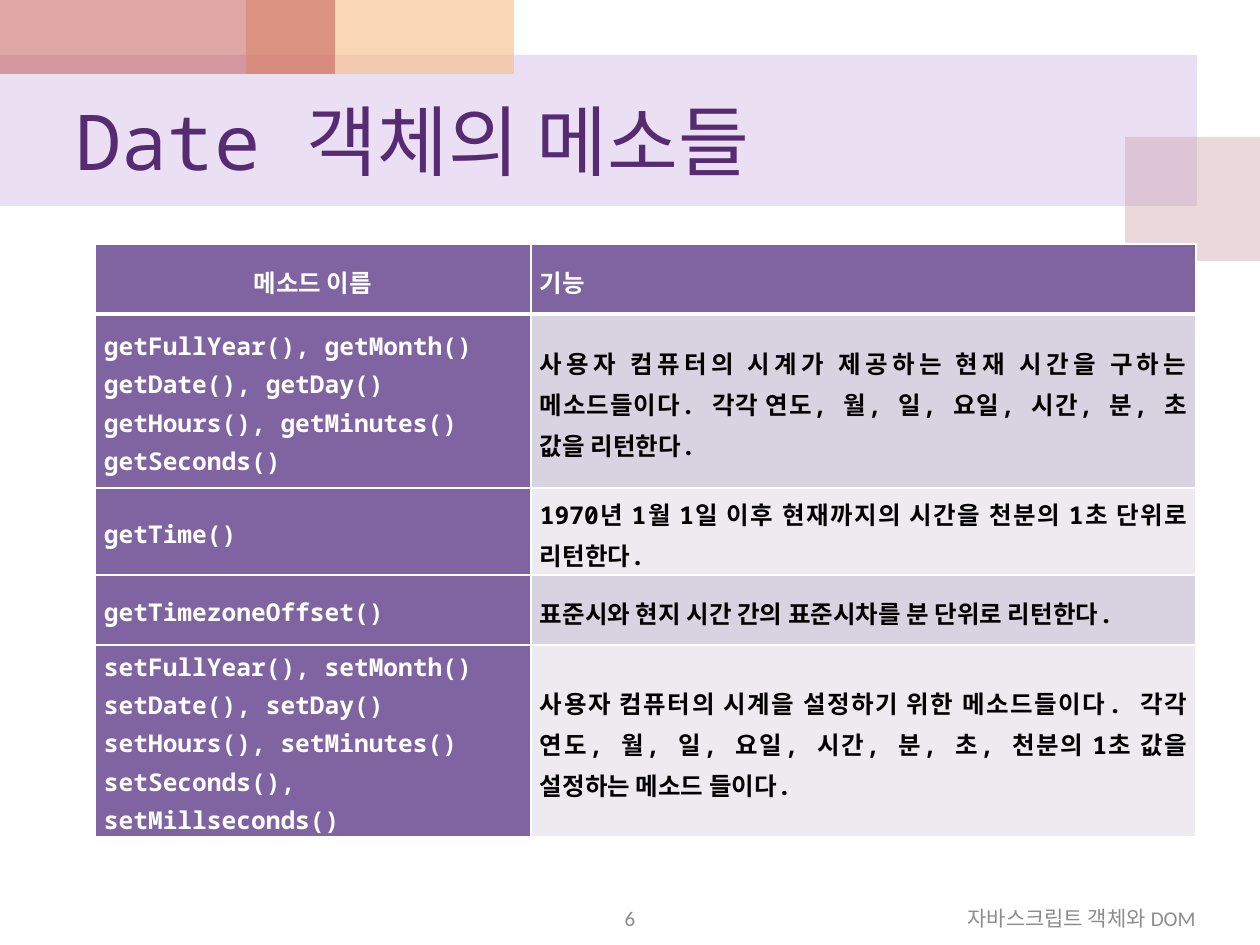
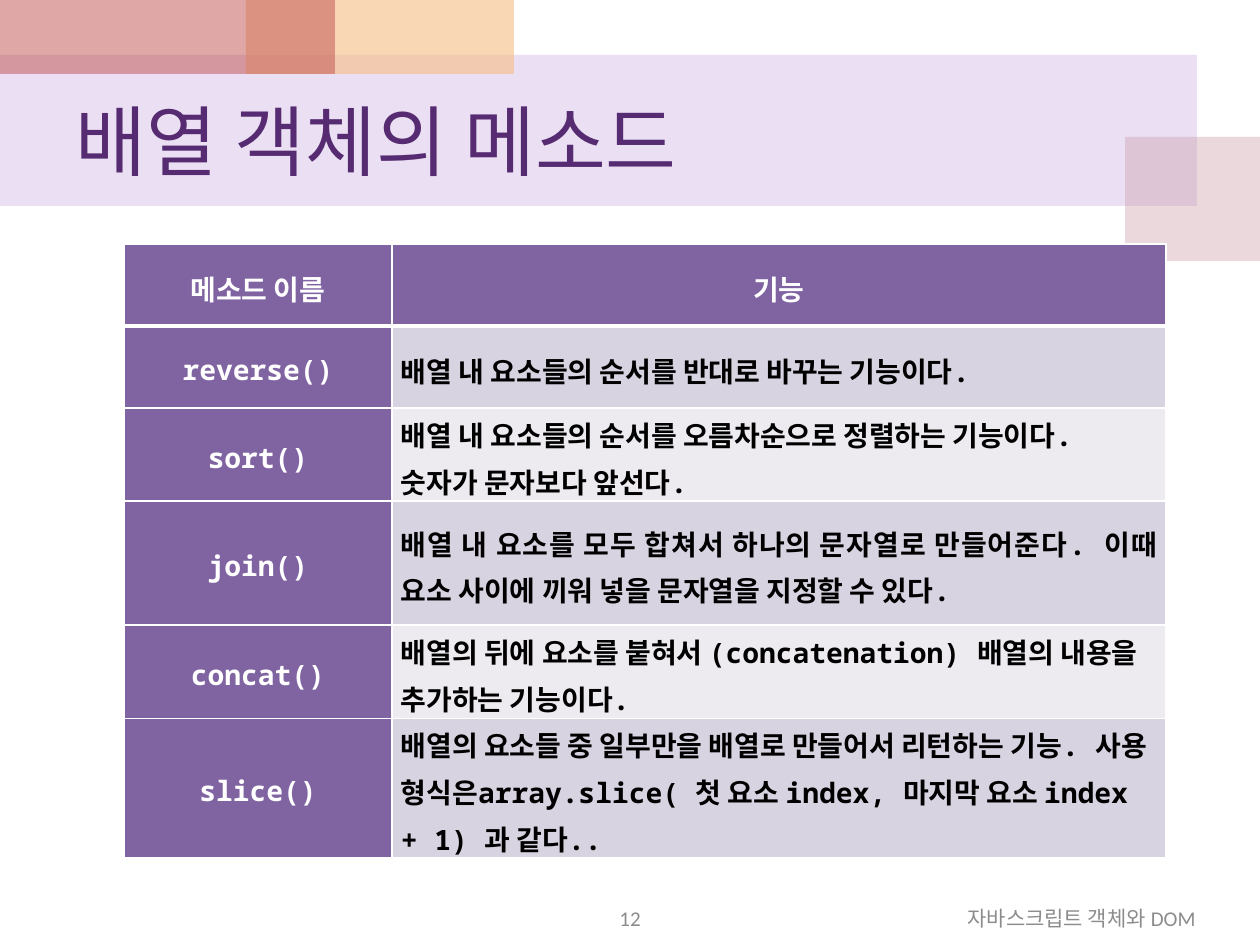
from pptx import Presentation
from pptx.dml.color import RGBColor
from pptx.enum.shapes import MSO_SHAPE
from pptx.enum.text import MSO_ANCHOR, MSO_AUTO_SIZE, PP_ALIGN
from pptx.oxml import parse_xml
from pptx.oxml.ns import nsdecls
from pptx.util import Pt
from lxml.etree import SubElement

# Shared look
COL = {
    "band": "BF98D8", "side": "CC9EAC", "peach": "F5BC83", "red": "C0504D",
    "title": "562B71", "foot": "8C8C8C", "head": "8064A2",
    "odd": "D8D3E0", "even": "EDEAF0", "white": "FFFFFF", "black": "000000",
}
SANS, MONO = "Calibri", "Noto Sans Mono"
LEFT, MID, RIGHT, JUST = PP_ALIGN.LEFT, PP_ALIGN.CENTER, PP_ALIGN.RIGHT, PP_ALIGN.JUSTIFY
SIZE = (1260, 945)
BANDS = [  # colour, opacity %, box
    ("band", 30, (0, 55, 1197, 151)),
    ("side", 40, (1125, 137, 135, 124)),
    ("peach", 60, (246, 0, 268, 74)),
    ("red", 50, (0, 0, 335, 74)),
]
TITLE = (63, 74, 1134, 132)
PAGE = (483, 901, 294, 34)
FOOT = (809, 901, 399, 34)
NOTE = "자바스크립트 객체와 DOM"
TOP = 244

# Content: each row is height, method lines, description, its alignment
SLIDES = [
    {
        "title": [("Date ", MONO), ("객체의 메소들", SANS)],
        "page": "6", "left": 95, "cols": (436, 665), "pt": 14,
        "font": MONO, "names": LEFT,
        "rows": [
            (70, ["메소드 이름"], "기능", JUST),
            (174, ["getFullYear(), getMonth()", "getDate(), getDay()",
                   "getHours(), getMinutes()", "getSeconds()"],
             "사용자 컴퓨터의 시계가 제공하는 현재 시간을 구하는 메소드들이다. "
             "각각 연도, 월, 일, 요일, 시간, 분, 초 값을 리턴한다.", JUST),
            (87, ["getTime()"],
             "1970년 1월 1일 이후 현재까지의 시간을 천분의 1초 단위로 리턴한다.", JUST),
            (70, ["getTimezoneOffset()"],
             "표준시와 현지 시간 간의 표준시차를 분 단위로 리턴한다.", JUST),
            (174, ["setFullYear(), setMonth()", "setDate(), setDay()",
                   "setHours(), setMinutes()", "setSeconds(), setMillseconds()"],
             "사용자 컴퓨터의 시계을 설정하기 위한 메소드들이다. 각각 연도, 월, 일, 요일, "
             "시간, 분, 초, 천분의 1초 값을 설정하는 메소드 들이다.", JUST),
        ],
    },
    {
        "title": [("배열 객체의 메소드", SANS)],
        "page": "12", "left": 124, "cols": (268, 774), "pt": 16,
        "font": SANS, "names": MID,
        "rows": [
            (82, ["메소드 이름"], "기능", MID),
            (82, ["reverse()"], "배열 내 요소들의 순서를 반대로 바꾸는 기능이다.", LEFT),
            (84, ["sort()"],
             "배열 내 요소들의 순서를 오름차순으로 정렬하는 기능이다. 숫자가 문자보다 앞선다.", LEFT),
            (124, ["join()"],
             "배열 내 요소를 모두 합쳐서 하나의 문자열로 만들어준다. "
             "이때 요소 사이에 끼워 넣을 문자열을 지정할 수 있다.", JUST),
            (84, ["concat()"],
             "배열의 뒤에 요소를 붙혀서 (concatenation) 배열의 내용을 추가하는 기능이다.", LEFT),
            (124, ["slice()"],
             "배열의 요소들 중 일부만을 배열로 만들어서 리턴하는 기능. 사용 형식은"
             "array.slice( 첫 요소 index, 마지막 요소 index + 1) 과 같다..", LEFT),
        ],
    },
]


def px(n):
    return round(n * 914400 / 126)


def rgb(key):
    return RGBColor.from_string(COL[key])


def add_run(para, text, font, pt, ink, bold=False):
    run = para.add_run()
    run.text = text
    run.font.name, run.font.size, run.font.bold = font, Pt(pt), bold
    run.font.color.rgb = rgb(ink)


def add_bands(slide):
    """Draw the bands, then hand them to the layout that all slides share."""
    for key, alpha, box in BANDS:
        band = slide.shapes.add_shape(MSO_SHAPE.RECTANGLE, *map(px, box))
        band.shadow.inherit = False
        band.line.fill.background()
        band.fill.solid()
        band.fill.fore_color.rgb = rgb(key)
        tint = band.element.spPr.find(".//{*}srgbClr")
        SubElement(tint, tint.tag.replace("srgbClr", "alpha"), val=str(alpha * 1000))
        slide.slide_layout.shapes.element.append(band.element)


def add_title(slide, runs):
    title = slide.shapes.title
    title.left, title.top, title.width, title.height = map(px, TITLE)
    frame = title.text_frame
    frame.auto_size, frame.vertical_anchor = MSO_AUTO_SIZE.NONE, MSO_ANCHOR.MIDDLE
    para = frame.paragraphs[0]
    para.alignment = LEFT
    for text, font in runs:
        add_run(para, text, font, 44, "title")


def add_foot(slide, box, text, align):
    frame = slide.shapes.add_textbox(*map(px, box)).text_frame
    frame.word_wrap, frame.vertical_anchor = True, MSO_ANCHOR.MIDDLE
    para = frame.paragraphs[0]
    para.alignment = align
    add_run(para, text, SANS, 12, "foot")


def set_edges(cell, row):
    """White grid, with a thick rule under the header row."""
    wide = {"T": 3 if row == 1 else 1, "B": 3 if row == 0 else 1}
    props = cell._tc.get_or_add_tcPr()
    for i, side in enumerate("LRTB"):
        props.insert(i, parse_xml(
            f'<a:ln{side} {nsdecls("a")} w="{wide.get(side, 1) * 12700}"><a:solidFill>'
            f'<a:srgbClr val="{COL["white"]}"/></a:solidFill></a:ln{side}>'))


def fill_cell(cell, row, lines, align, font, pt, fill, ink):
    cell.margin_left = cell.margin_right = px(9)
    cell.margin_top = cell.margin_bottom = 0
    cell.vertical_anchor = MSO_ANCHOR.MIDDLE
    cell.fill.solid()
    cell.fill.fore_color.rgb = rgb(fill)
    set_edges(cell, row)
    frame = cell.text_frame
    for i, line in enumerate(lines):
        para = frame.add_paragraph() if i else frame.paragraphs[0]
        para.alignment, para.line_spacing = align, 1.15
        add_run(para, line, font, pt, ink, True)


def add_grid(slide, data):
    rows, cols = data["rows"], data["cols"]
    box = (data["left"], TOP, sum(cols), sum(row[0] for row in rows))
    grid = slide.shapes.add_table(len(rows), len(cols), *map(px, box)).table
    for col, wide in zip(grid.columns, cols):
        col.width = px(wide)
    for r, (high, names, text, align) in enumerate(rows):
        grid.rows[r].height = px(high)
        font = MONO if r else data["font"]
        shade = ("even", "odd")[r % 2] if r else "head"
        fill_cell(grid.cell(r, 0), r, names, data["names"] if r else MID,
                  font, data["pt"], "head", "white")
        fill_cell(grid.cell(r, 1), r, [text], align,
                  font, data["pt"], shade, "black" if r else "white")


def main():
    deck = Presentation()
    deck.slide_width, deck.slide_height = map(px, SIZE)
    layout = deck.slide_layouts[5]
    for i, data in enumerate(SLIDES):
        slide = deck.slides.add_slide(layout)
        if i == 0:
            add_bands(slide)
        add_title(slide, data["title"])
        add_grid(slide, data)
        add_foot(slide, PAGE, data["page"], MID)
        add_foot(slide, FOOT, NOTE, RIGHT)
    deck.save("out.pptx")


if __name__ == "__main__":
    main()
